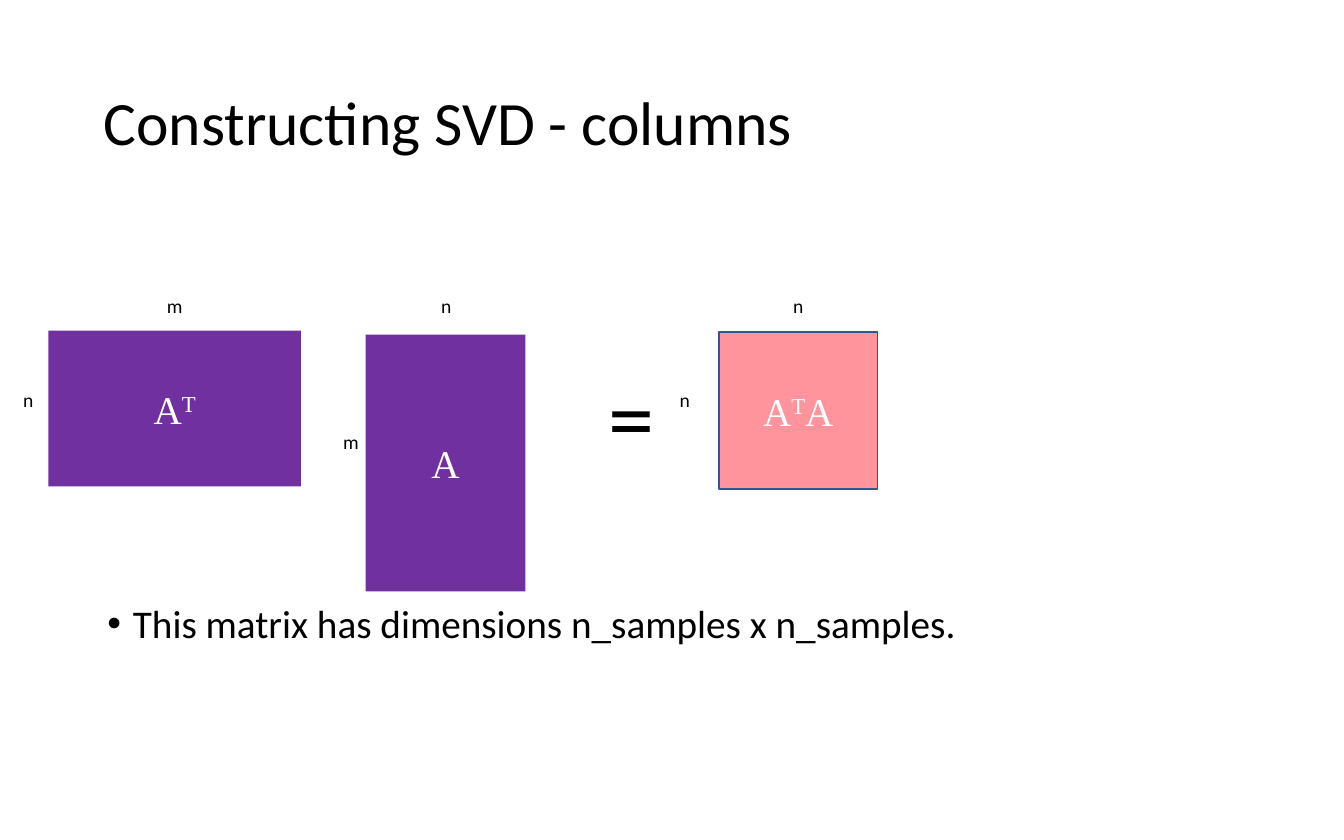
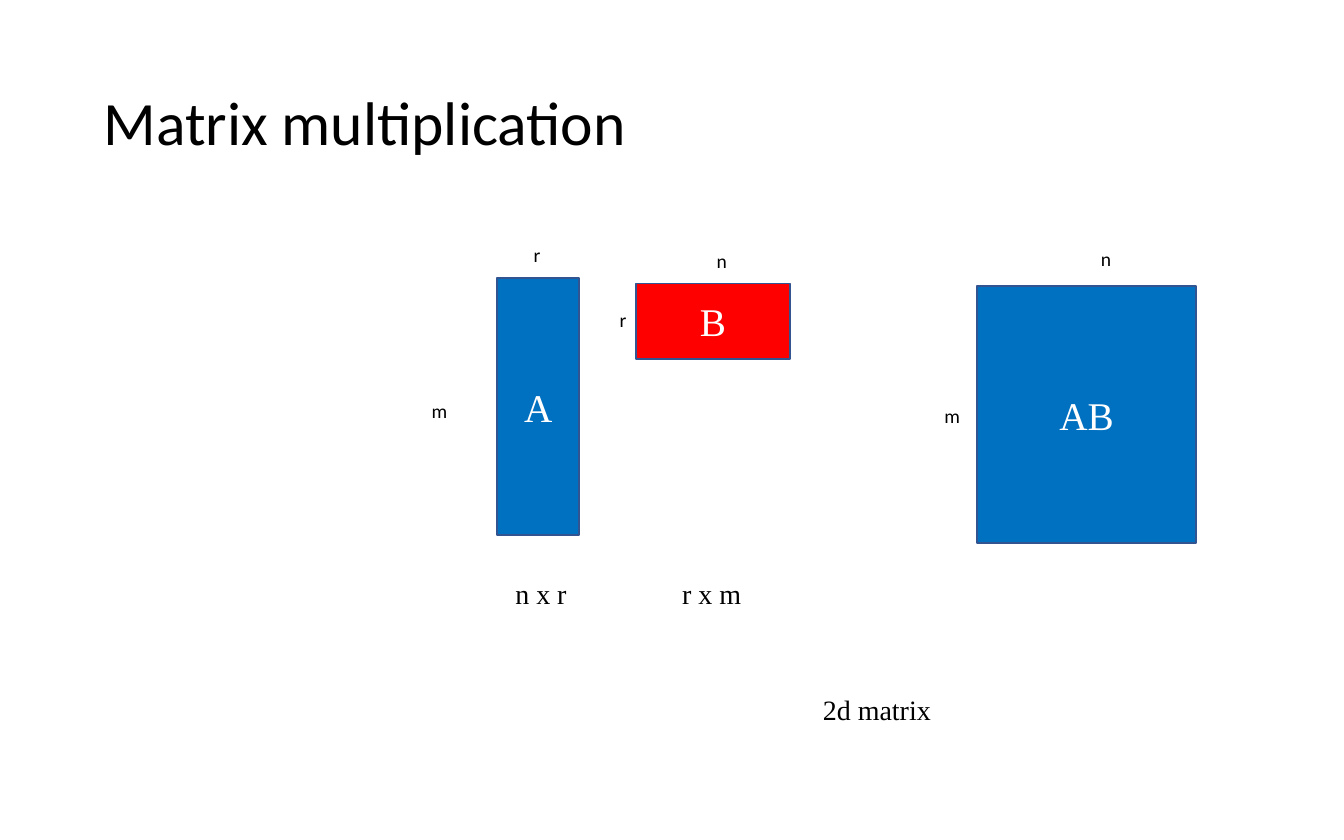
import dataclasses
from typing import Optional

import lxml.etree
import pptx
import pptx.dml.color
import pptx.enum.shapes
import pptx.enum.text
import pptx.oxml.ns
import pptx.util

# Shared scale, fonts and colours
PX = 9144  # 100 px to the inch
SANS, SERIF = "Calibri", "Times New Roman"
BLACK, WHITE, OUTLINE = "000000", "FFFFFF", "325491"
PURPLE, PINK, BLUE, RED = "7030A0", "FF949C", "0070C0", "FF0000"
LABEL_HEIGHT, CAPTION_HEIGHT = 28, 35
ALIGN = pptx.enum.text.PP_ALIGN
ANCHOR = pptx.enum.text.MSO_ANCHOR


@dataclasses.dataclass(frozen=True)
class Matrix:
    """A filled rectangle; '^T' in the name stands for a raised T."""
    name: str
    left: int
    top: int
    width: int
    height: int
    fill: str
    outline: Optional[str] = OUTLINE


@dataclasses.dataclass(frozen=True)
class Label:
    text: str
    left: int
    top: int
    width: int
    wrap: bool = False


def emu(px: int) -> pptx.util.Emu:
    return pptx.util.Emu(px * PX)


def colour(code: str) -> pptx.dml.color.RGBColor:
    return pptx.dml.color.RGBColor.from_string(code)


def add_span(para, text: str, size: float, font: str, code: str, raised: bool = False) -> None:
    span = para.add_run()
    span.text = text
    span.font.size = pptx.util.Pt(size)
    span.font.name = font
    span.font.color.rgb = colour(code)
    if raised:
        span.font._element.set("baseline", "30000")


def add_text(page, text: str, left: int, top: int, width: int, height: int, size: float,
             font: str = SANS, align=ALIGN.LEFT, wrap: bool = True, grow: bool = True):
    box = page.shapes.add_textbox(emu(left), emu(top), emu(width), emu(height))
    frame = box.text_frame
    frame.word_wrap = wrap
    if grow:
        frame.auto_size = pptx.enum.text.MSO_AUTO_SIZE.SHAPE_TO_FIT_TEXT
    para = frame.paragraphs[0]
    para.alignment = align
    add_span(para, text, size, font, BLACK)
    return frame


def add_title(page, text: str) -> None:
    frame = add_text(page, text, 69, 33, 862, 121, 33, grow=False)
    frame.vertical_anchor = ANCHOR.MIDDLE
    frame.margin_left = frame.margin_right = emu(8)
    frame.paragraphs[0].line_spacing = 0.9


def add_bullet(page, text: str) -> None:
    para = add_text(page, text, 70, 445, 761, 135, 21, grow=False).paragraphs[0]
    para.line_spacing = 0.9
    para.space_before = pptx.util.Pt(7.5)
    props = para._p.get_or_add_pPr()
    props.set("marL", str(emu(19)))
    props.set("indent", str(-emu(19)))
    qn = pptx.oxml.ns.qn
    lxml.etree.SubElement(props, qn("a:buFont")).set("typeface", "Arial")
    lxml.etree.SubElement(props, qn("a:buChar")).set("char", "•")


def add_matrix(page, matrix: Matrix) -> None:
    shape = page.shapes.add_shape(
        pptx.enum.shapes.MSO_SHAPE.RECTANGLE,
        emu(matrix.left), emu(matrix.top), emu(matrix.width), emu(matrix.height))
    shape.shadow.inherit = False
    shape.fill.solid()
    shape.fill.fore_color.rgb = colour(matrix.fill)
    if matrix.outline:
        shape.line.color.rgb = colour(matrix.outline)
        shape.line.width = pptx.util.Pt(1)
    else:
        shape.line.fill.background()
    shape.text_frame.vertical_anchor = ANCHOR.MIDDLE
    para = shape.text_frame.paragraphs[0]
    para.alignment = ALIGN.CENTER
    # Split the name at the transpose mark, keeping the T as its own run
    first, mark, rest = matrix.name.partition("^T")
    add_span(para, first, 21, SERIF, WHITE)
    if mark:
        add_span(para, "T", 21, SERIF, WHITE, raised=True)
    if rest:
        add_span(para, rest, 21, SERIF, WHITE)


def add_label(page, label: Label) -> None:
    add_text(page, label.text, label.left, label.top, label.width, LABEL_HEIGHT, 10.5,
             align=ALIGN.CENTER, wrap=label.wrap)


def add_caption(page, label: Label) -> None:
    add_text(page, label.text, label.left, label.top, label.width, CAPTION_HEIGHT, 15,
             font=SERIF, align=ALIGN.CENTER, wrap=label.wrap)


def add_page(deck, title: str, matrices: list[Matrix], labels: list[Label]):
    page = deck.slides.add_slide(deck.slide_layouts[6])
    add_title(page, title)
    for matrix in matrices:
        add_matrix(page, matrix)
    for label in labels:
        add_label(page, label)
    return page


def build_svd(deck) -> None:
    page = add_page(
        deck, "Constructing SVD - columns",
        [Matrix("A", 272, 249, 119, 191, PURPLE, None),
         Matrix("A^T", 36, 246, 188, 116, PURPLE, None),
         Matrix("A^TA", 535, 247, 118, 117, PINK)],
        [Label("m", 114, 214, 32), Label("n", 7, 284, 28),
         Label("m", 245, 315, 32), Label("n", 318, 214, 28),
         Label("n", 579, 214, 30, True), Label("n", 491, 284, 37, True)])
    add_text(page, "=", 443, 262, 55, 93, 49.5, wrap=False)
    add_bullet(page, "This matrix has dimensions n_samples x n_samples.")


def build_multiplication(deck) -> None:
    page = add_page(
        deck, "Matrix multiplication",
        [Matrix("A", 370, 207, 61, 191, BLUE),
         Matrix("B", 473, 211, 115, 56, RED),
         Matrix("AB", 727, 213, 163, 191, BLUE)],
        [Label("m", 311, 292, 32), Label("r", 387, 176, 25),
         Label("n", 522, 180, 30, True), Label("r", 445, 224, 37, True),
         Label("n", 808, 179, 30, True), Label("m", 690, 296, 37, True)])
    for caption in (Label("n x r", 373, 424, 59), Label("r x m", 497, 424, 65),
                    Label("2d matrix", 602, 510, 101)):
        add_caption(page, caption)


def main() -> None:
    deck = pptx.Presentation()
    deck.slide_width, deck.slide_height = emu(1000), emu(625)
    build_svd(deck)
    build_multiplication(deck)
    deck.save("out.pptx")


if __name__ == "__main__":
    main()
